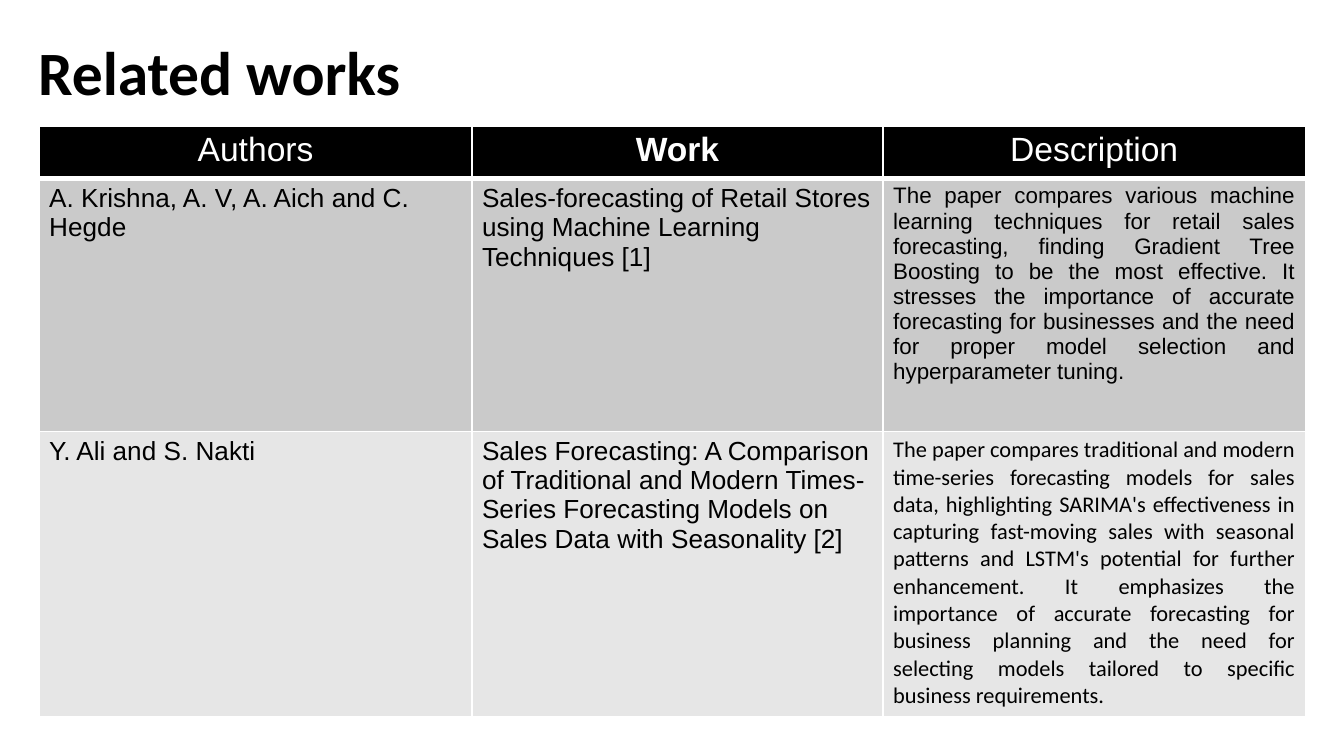
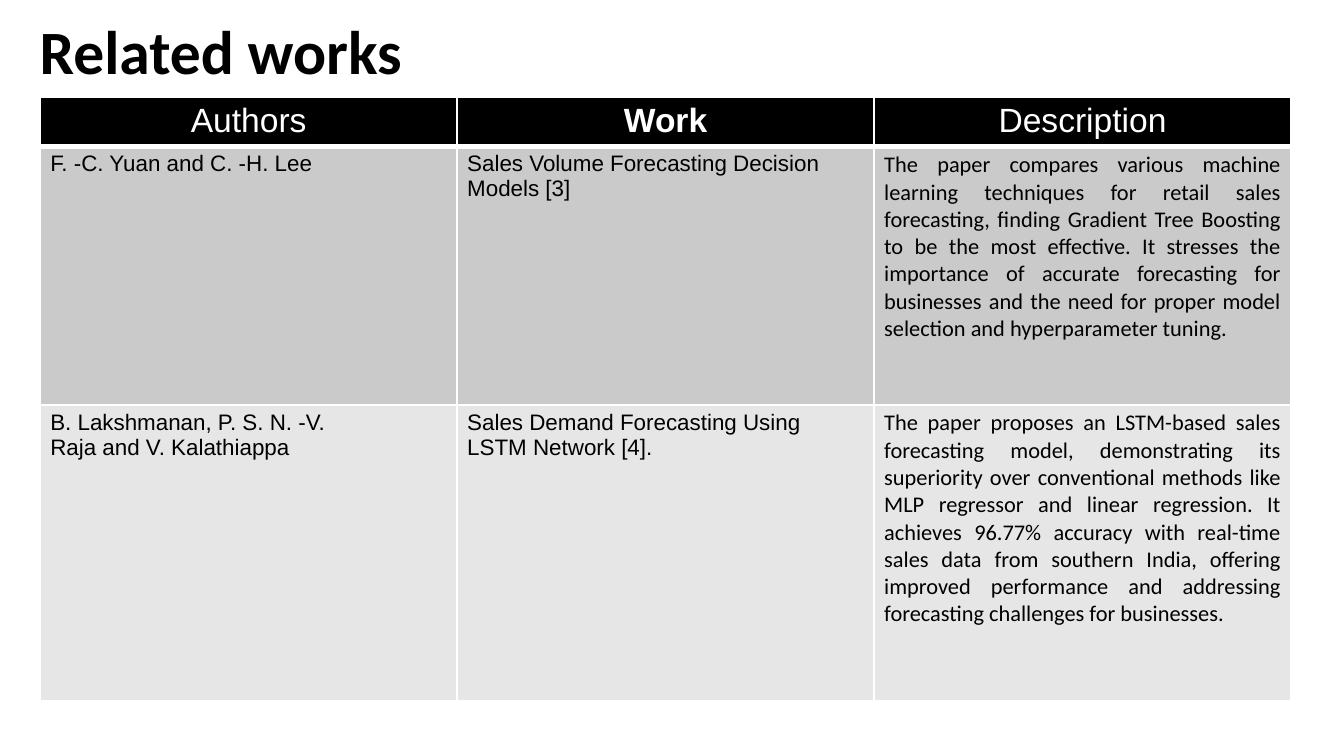
from lxml import etree
from pptx import Presentation
from pptx.dml.color import RGBColor
from pptx.enum.text import MSO_ANCHOR, PP_ALIGN
from pptx.oxml.ns import qn
from pptx.util import Cm, Pt

LEFT, CENTER, JUSTIFY = PP_ALIGN.LEFT, PP_ALIGN.CENTER, PP_ALIGN.JUSTIFY
MIDDLE = MSO_ANCHOR.MIDDLE

BLACK = RGBColor(0x00, 0x00, 0x00)
WHITE = RGBColor(0xFF, 0xFF, 0xFF)
DARK_BAND = RGBColor(0xCA, 0xCA, 0xCA)
LIGHT_BAND = RGBColor(0xE6, 0xE6, 0xE6)
ROW_FILLS = [BLACK, DARK_BAND, LIGHT_BAND]

HEADINGS = ["Authors", "Work", "Description"]
INSET_X, INSET_Y = Cm(0.19), Cm(0.09)

RETAIL_SUMMARY = (
    "The paper compares various machine learning techniques for retail sales "
    "forecasting, finding Gradient Tree Boosting to be the most effective. It "
    "stresses the importance of accurate forecasting for businesses and the need "
    "for proper model selection and hyperparameter tuning."
)
TIME_SERIES_SUMMARY = (
    "The paper compares traditional and modern time-series forecasting models for "
    "sales data, highlighting SARIMA's effectiveness in capturing fast-moving sales "
    "with seasonal patterns and LSTM's potential for further enhancement. It "
    "emphasizes the importance of accurate forecasting for business planning and "
    "the need for selecting models tailored to specific business requirements."
)
LSTM_SUMMARY = (
    "The paper proposes an LSTM-based sales forecasting model, demonstrating its "
    "superiority over conventional methods like MLP regressor and linear "
    "regression. It achieves 96.77% accuracy with real-time sales data from "
    "southern India, offering improved performance and addressing forecasting "
    "challenges for businesses."
)

# Lengths in cm; summary_fonts has one font for each work.
PAGES = [
    {
        "title_at": (0.53, 0.86),
        "table_at": (0.74, 2.39),
        "columns": [8.18, 7.77, 7.98],
        "rows": [0.99, 4.78, 5.38],
        "size": 14,
        "summary_fonts": ["Arial", "Calibri"],
        "works": [
            ["A. Krishna, A. V, A. Aich and C. Hegde",
             "Sales-forecasting of Retail Stores using Machine Learning Techniques [1]",
             RETAIL_SUMMARY],
            ["Y. Ali and S. Nakti",
             "Sales Forecasting: A Comparison of Traditional and Modern Times-Series "
             "Forecasting Models on Sales Data with Seasonality [2]",
             TIME_SERIES_SUMMARY],
        ],
    },
    {
        "title_at": (0.56, 0.46),
        "table_at": (0.76, 1.83),
        "columns": [7.88] * 3,
        "rows": [0.86, 4.88, 5.59],
        "size": 12,
        "summary_fonts": ["Calibri", "Calibri"],
        "works": [
            ["F. -C. Yuan and C. -H. Lee",
             "Sales Volume Forecasting Decision Models [3]",
             RETAIL_SUMMARY],
            ["B. Lakshmanan, P. S. N. -V.\nRaja and V. Kalathiappa",
             "Sales Demand Forecasting Using LSTM Network [4].",
             LSTM_SUMMARY],
        ],
    },
]


def write(frame, text, size, font="Arial", color=BLACK, bold=False,
          align=LEFT, spacing=None):
    """Fill a text frame, one paragraph for each line of text."""
    frame.text = text
    for paragraph in frame.paragraphs:
        paragraph.alignment = align
        paragraph.line_spacing = spacing
        for run in paragraph.runs:
            run.font.size = Pt(size)
            run.font.name = font
            run.font.bold = bold
            run.font.color.rgb = color


def style_cell(cell, row):
    """Set insets, white borders and the row's fill, with a thick rule below the header."""
    cell.margin_left = cell.margin_right = INSET_X
    cell.margin_top = cell.margin_bottom = INSET_Y
    properties = cell._tc.get_or_add_tcPr()
    for side in ("L", "R", "T", "B"):
        thick = (row, side) in ((0, "B"), (1, "T"))
        line = etree.SubElement(properties, qn(f"a:ln{side}"), w=str(Pt(3 if thick else 1)))
        paint = etree.SubElement(line, qn("a:solidFill"))
        etree.SubElement(paint, qn("a:srgbClr"), val=str(WHITE))
    cell.fill.solid()
    cell.fill.fore_color.rgb = ROW_FILLS[row]


deck = Presentation()
deck.slide_width, deck.slide_height = Cm(25.4), Cm(14.29)
blank = deck.slide_layouts[6]

for page in PAGES:
    slide = deck.slides.add_slide(blank)

    left, top = page["title_at"]
    title = slide.shapes.add_textbox(Cm(left), Cm(top), Cm(16.59), Cm(1.14)).text_frame
    title.word_wrap = True
    title.vertical_anchor = MIDDLE
    title.margin_left = title.margin_right = INSET_X
    title.margin_top = title.margin_bottom = INSET_Y
    write(title, "Related works", 33, font="Calibri", bold=True, spacing=0.9)

    left, top = page["table_at"]
    works = slide.shapes.add_table(
        len(page["rows"]), len(HEADINGS), Cm(left), Cm(top),
        Cm(sum(page["columns"])), Cm(sum(page["rows"]))).table
    for column, width in zip(works.columns, page["columns"]):
        column.width = Cm(width)
    for row, height in zip(works.rows, page["rows"]):
        row.height = Cm(height)

    for r, texts in enumerate([HEADINGS] + page["works"]):
        for c, text in enumerate(texts):
            cell = works.cell(r, c)
            style_cell(cell, r)
            if r == 0:
                write(cell.text_frame, text, 18, color=WHITE, bold=text == "Work", align=CENTER)
            elif c == 2:
                write(cell.text_frame, text, 12, font=page["summary_fonts"][r - 1], align=JUSTIFY)
            else:
                write(cell.text_frame, text, page["size"])

deck.save("out.pptx")
